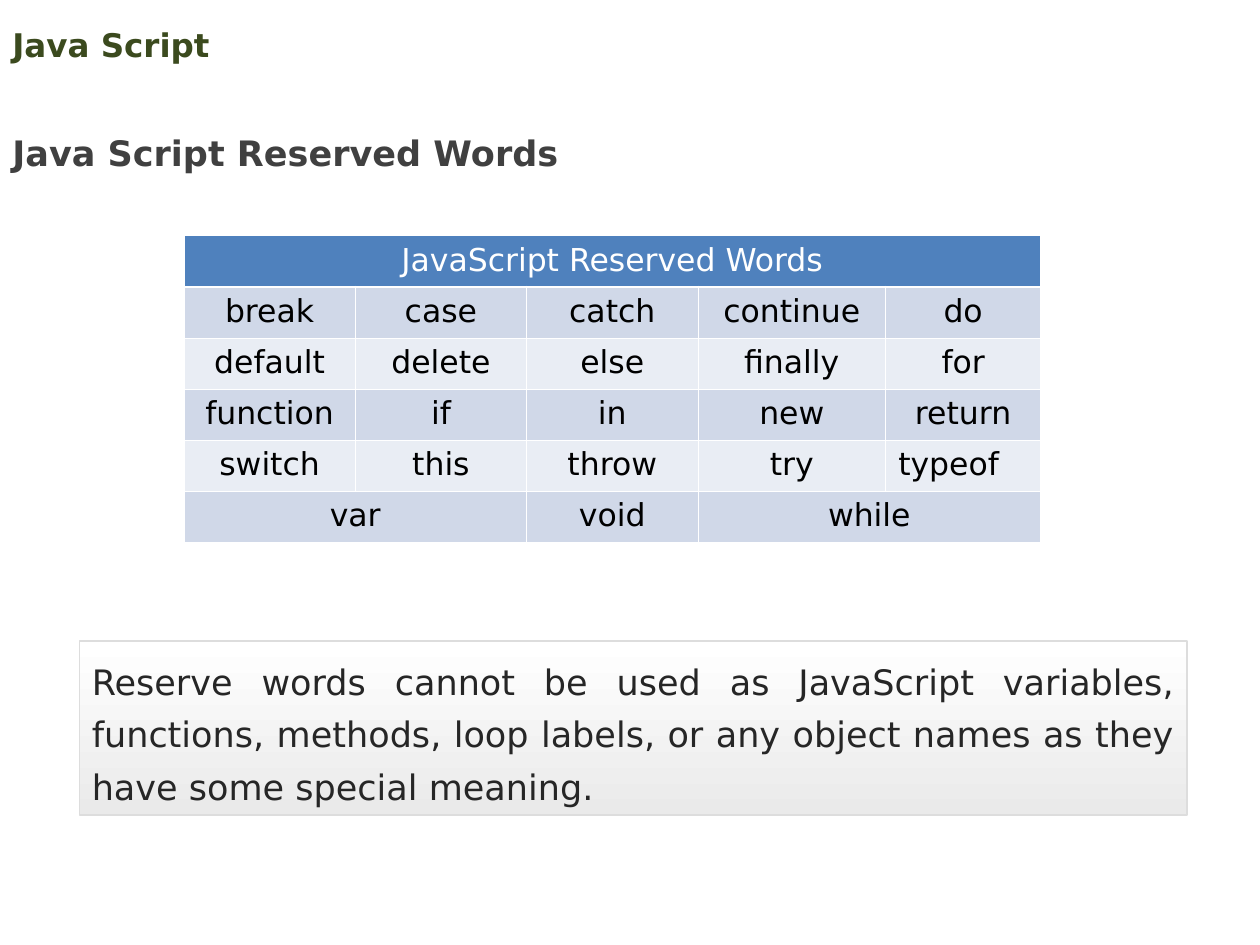
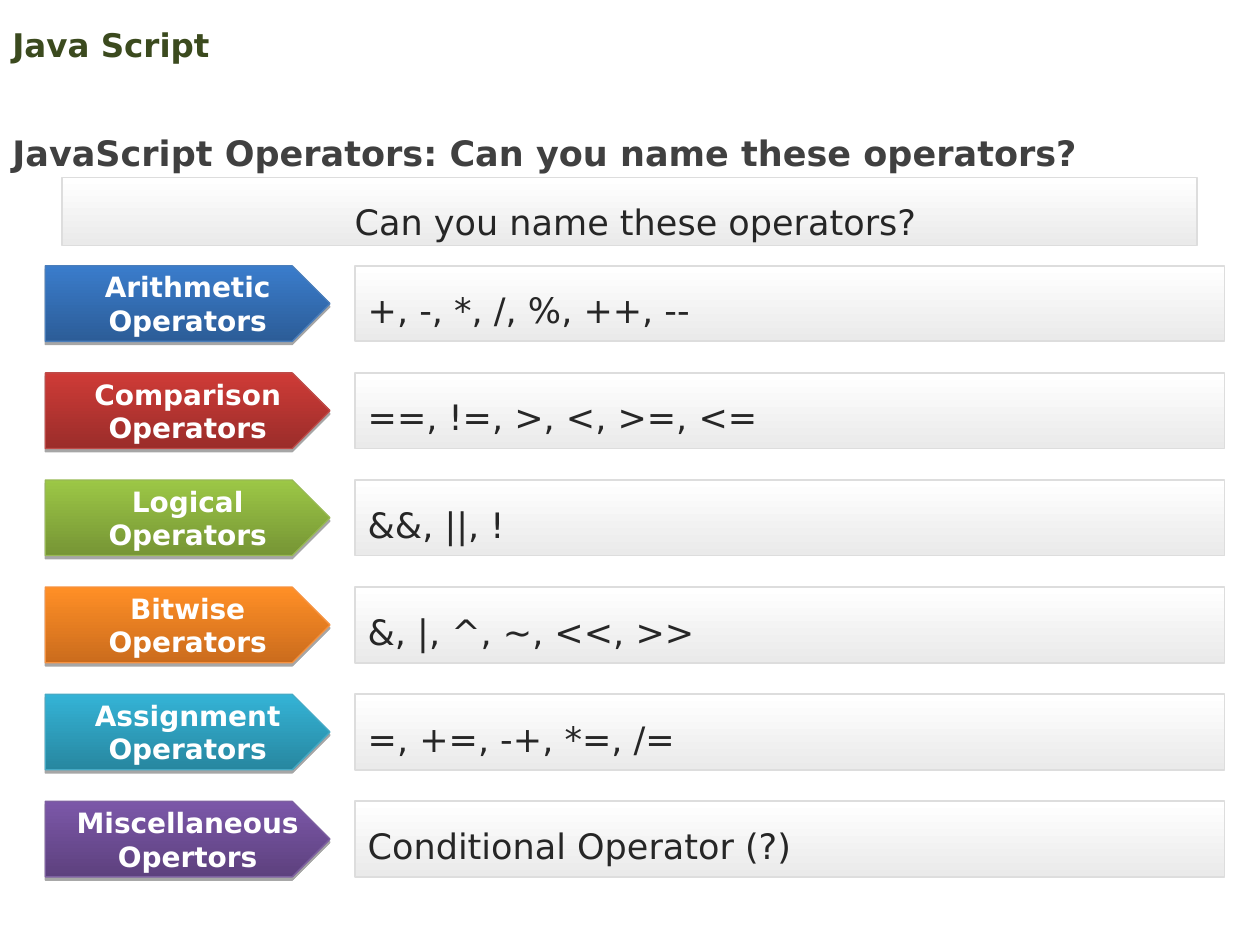
from dataclasses import dataclass

from lxml import etree
from pptx import Presentation
from pptx.dml.color import RGBColor
from pptx.enum.shapes import MSO_SHAPE
from pptx.enum.text import MSO_ANCHOR, MSO_AUTO_SIZE, PP_ALIGN
from pptx.oxml.ns import qn
from pptx.util import Inches, Pt

RECTANGLE, PENTAGON = MSO_SHAPE.RECTANGLE, MSO_SHAPE.PENTAGON
LEFT, CENTER, JUSTIFY = PP_ALIGN.LEFT, PP_ALIGN.CENTER, PP_ALIGN.JUSTIFY
TOP, MIDDLE = MSO_ANCHOR.TOP, MSO_ANCHOR.MIDDLE
GROW = MSO_AUTO_SIZE.SHAPE_TO_FIT_TEXT

COLUMNS, ROWS = 100, 75
CELL = Inches(0.1)
TEXT_INSETS = (1, 0.5, 1, 0.5)
PANEL_INSETS = (1, 1, 1, 1)
ARROW_INSETS = (1.5, 0.5, 0, 0.5)


@dataclass(frozen=True)
class Theme:
    font: str = "DejaVu Sans"
    course: str = "3B4A1E"
    heading: str = "404040"
    body: str = "262626"
    word: str = "000000"
    white: str = "FFFFFF"
    panel_end: str = "EAEAEA"
    panel_line: str = "DDDDDD"
    table_header: str = "4F81BD"
    table_bands: tuple = ("D0D8E8", "E9EDF4")
    course_size: float = 18.6
    body_size: float = 20
    word_size: float = 18
    label_size: float = 16
    thin_rule: float = 0.45
    thick_rule: float = 1.47
    panel_leading: float = 30


THEME = Theme()

RESERVED_WORDS = [
    ("JavaScript Reserved Words", None, None, None, None),
    ("break", "case", "catch", "continue", "do"),
    ("default", "delete", "else", "finally", "for"),
    ("function", "if", "in", "new", "return"),
    ("switch", "this", "throw", "try", "typeof"),
    ("var", None, "void", "while", None),
]
WORD_COLUMNS = (13.6, 13.6, 13.6, 14.9, 12.3)
WORD_ROW = 4.06

OPERATORS = [
    ("Arithmetic Operators", "+, -, *, /, %, ++, --", "3A7CCB", "2C5D98", "4A7EBB"),
    ("Comparison Operators", "==, !=, >, <, >=, <=", "CE3B37", "9B2D2A", "BE4B48"),
    ("Logical Operators", "&&, ||, !", "9CC746", "769535", "98B954"),
    ("Bitwise Operators", "&, |, ^, ~, <<, >>", "FF8F26", "CB6C1D", "F69240"),
    ("Assignment Operators", "=, +=, -+, *=, /=", "34B3D6", "2787A0", "46AAC5"),
    ("Miscellaneous Opertors", "Conditional Operator (?)", "7B57A8", "5D417E", "7D60A0"),
]
OPERATOR_TOP, OPERATOR_STEP, OPERATOR_HEIGHT = 21.1, 8.5, 6


def grid(*lengths):
    return [round(length * CELL) for length in lengths]


def write(frame, text, size, color, bold=False, align=LEFT, leading=None):
    paragraph = frame.paragraphs[0]
    paragraph.alignment = align
    if leading:
        paragraph.line_spacing = leading
    run = paragraph.add_run()
    run.text = text
    run.font.name = THEME.font
    run.font.size = Pt(size)
    run.font.bold = bold
    run.font.color.rgb = RGBColor.from_string(color)


def set_frame(frame, insets, anchor):
    frame.word_wrap = True
    frame.vertical_anchor = anchor
    (frame.margin_left, frame.margin_top,
     frame.margin_right, frame.margin_bottom) = grid(*insets)


def add_text(slide, area, text, size, color, anchor=TOP, leading=None):
    frame = slide.shapes.add_textbox(*grid(*area)).text_frame
    set_frame(frame, TEXT_INSETS, anchor)
    write(frame, text, size, color, bold=True, leading=leading)
    return frame


def add_gradient_shape(slide, preset, area, colors, line, line_width):
    shape = slide.shapes.add_shape(preset, *grid(*area))
    shape.fill.gradient()
    shape.fill.gradient_angle = 270
    for stop, color in zip(shape.fill.gradient_stops, colors):
        stop.color.rgb = RGBColor.from_string(color)
    shape.line.color.rgb = RGBColor.from_string(line)
    shape.line.width = Pt(line_width)
    shape.shadow.inherit = False
    return shape


def add_panel(slide, area, text, align=JUSTIFY, anchor=TOP, insets=PANEL_INSETS):
    panel = add_gradient_shape(slide, RECTANGLE, area, (THEME.white, THEME.panel_end),
                               THEME.panel_line, 1)
    set_frame(panel.text_frame, insets, anchor)
    write(panel.text_frame, text, THEME.body_size, THEME.body, align=align,
          leading=Pt(THEME.panel_leading))


def drop_shadow(shape):
    effects = shape._element.spPr.find(qn("a:effectLst"))
    shadow = etree.SubElement(effects, qn("a:outerShdw"), blurRad="0",
                              dist=str(Pt(1.8)), dir="5400000", rotWithShape="0")
    color = etree.SubElement(shadow, qn("a:srgbClr"), val="000000")
    etree.SubElement(color, qn("a:alpha"), val="35000")


def add_arrow(slide, area, label, colors, line):
    arrow = add_gradient_shape(slide, PENTAGON, area, colors, line, 0.75)
    drop_shadow(arrow)
    set_frame(arrow.text_frame, ARROW_INSETS, MIDDLE)
    write(arrow.text_frame, label, THEME.label_size, THEME.white, bold=True, align=CENTER)


def set_borders(cell, top, bottom):
    properties = cell._tc.get_or_add_tcPr()
    widths = {"L": THEME.thin_rule, "R": THEME.thin_rule, "T": top, "B": bottom}
    for side, width in widths.items():
        rule = etree.SubElement(properties, qn(f"a:ln{side}"), w=str(Pt(width)))
        fill = etree.SubElement(rule, qn("a:solidFill"))
        etree.SubElement(fill, qn("a:srgbClr"), val=THEME.white)


def style_cell(cell, row):
    set_borders(cell,
                THEME.thick_rule if row == 1 else THEME.thin_rule,
                THEME.thick_rule if row == 0 else THEME.thin_rule)
    color = THEME.table_bands[(row - 1) % 2] if row else THEME.table_header
    cell.fill.solid()
    cell.fill.fore_color.rgb = RGBColor.from_string(color)


def add_word_table(slide, left, top):
    area = grid(left, top, sum(WORD_COLUMNS), WORD_ROW * len(RESERVED_WORDS))
    table = slide.shapes.add_table(len(RESERVED_WORDS), len(WORD_COLUMNS), *area).table
    table.first_row = table.horz_banding = False
    for column, width in zip(table.columns, grid(*WORD_COLUMNS)):
        column.width = width
    for row, words in enumerate(RESERVED_WORDS):
        for column, word in enumerate(words):
            cell = table.cell(row, column)
            style_cell(cell, row)
            if word is None:
                continue
            end = column
            while end + 1 < len(words) and words[end + 1] is None:
                end += 1
            if end > column:
                cell.merge(table.cell(row, end))
            write(cell.text_frame, word, THEME.word_size,
                  THEME.word if row else THEME.white,
                  align=LEFT if word == "typeof" else CENTER)


def start_slide(deck, heading, heading_width):
    slide = deck.slides.add_slide(deck.slide_layouts[6])
    add_text(slide, (0, 1.4, 90, 4.3), "Java Script", THEME.course_size, THEME.course, MIDDLE)
    frame = add_text(slide, (0, 8.3, heading_width, 6), heading, THEME.body_size,
                     THEME.heading, leading=1.5)
    frame.auto_size = GROW
    return slide


def build_reserved_words(deck):
    slide = start_slide(deck, "Java Script Reserved Words", 57.6)
    add_word_table(slide, 14.6, 18.7)
    add_panel(slide, (6.3, 50.9, 87.9, 13.8),
              "Reserve words cannot be used as JavaScript variables, functions, methods, "
              "loop labels, or any object names as they have some special meaning.",
              anchor=MIDDLE)


def build_operators(deck):
    slide = start_slide(deck, "JavaScript Operators: Can you name these operators?", 87.7)
    add_panel(slide, (4.9, 14.1, 90.1, 5.4), "Can you name these operators?",
              align=CENTER, insets=(1, 1, 0, 1))
    for index, (label, symbols, light, dark, line) in enumerate(OPERATORS):
        top = OPERATOR_TOP + index * OPERATOR_STEP
        add_arrow(slide, (3.6, top, 22.6, OPERATOR_HEIGHT), label, (light, dark), line)
        add_panel(slide, (28.2, top, 69, OPERATOR_HEIGHT), symbols)


def main():
    deck = Presentation()
    deck.slide_width, deck.slide_height = grid(COLUMNS, ROWS)
    build_reserved_words(deck)
    build_operators(deck)
    deck.save("out.pptx")


if __name__ == "__main__":
    main()
